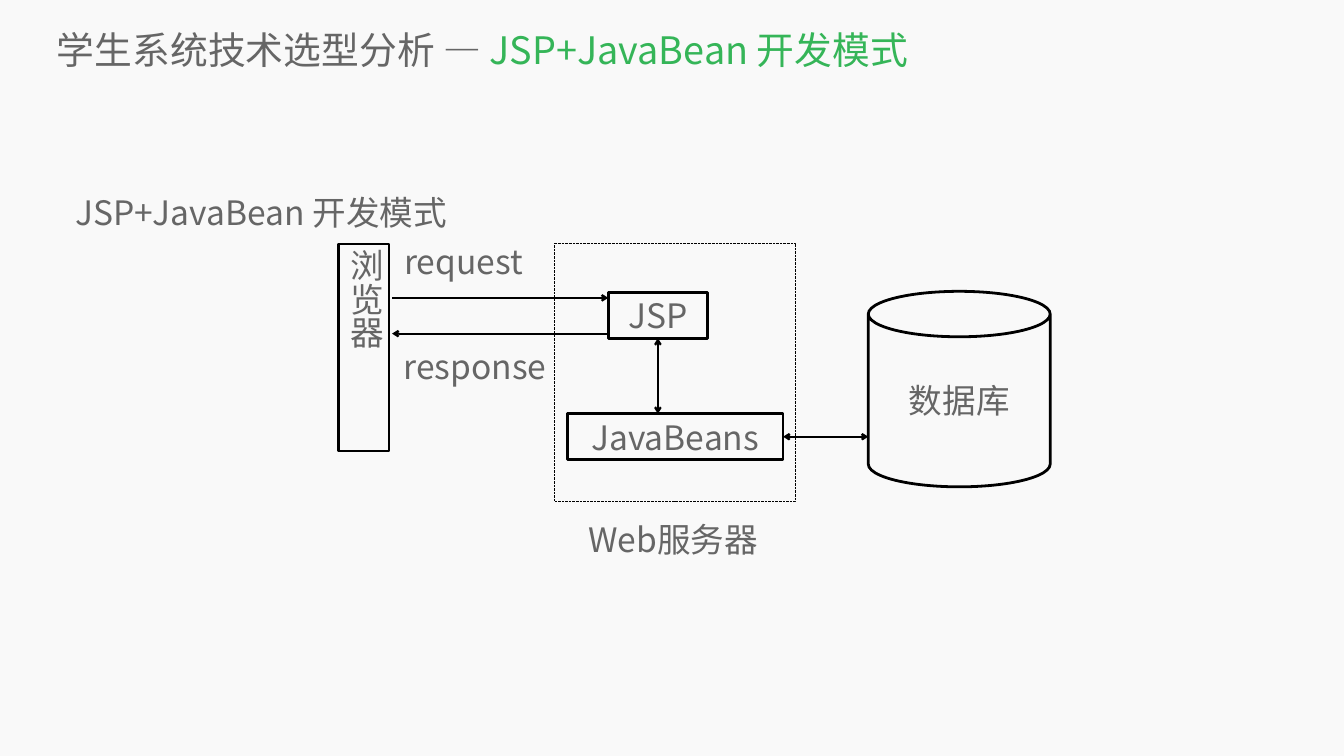
from dataclasses import dataclass

from pptx import Presentation
from pptx import util as u
from pptx.dml.color import RGBColor
from pptx.enum import dml, shapes, text
from pptx.oxml.ns import qn
from lxml import etree

COLUMNS, ROWS = 26.67, 15


@dataclass(frozen=True)
class Theme:
    font: str = "Noto Sans CJK SC"
    paper: str = "F9F9F9"
    ink: str = "666666"
    accent: str = "35B558"
    outline: str = "000000"
    title_size: int = 54
    body_size: int = 48
    box_line: int = 4
    arrow_line: int = 3
    dotted_line: int = 1


@dataclass(frozen=True)
class Area:
    left: float
    top: float
    width: float
    height: float

    @property
    def right(self):
        return self.left + self.width

    @property
    def bottom(self):
        return self.top + self.height

    @property
    def middle(self):
        return self.left + self.width / 2, self.top + self.height / 2


class Diagram:
    def __init__(self, deck, theme):
        self.theme = theme
        self.column = deck.slide_width / COLUMNS
        self.row = deck.slide_height / ROWS
        self.slide = deck.slides.add_slide(deck.slide_layouts[6])
        fill = self.slide.background.fill
        fill.solid()
        fill.fore_color.rgb = RGBColor.from_string(theme.paper)

    def point(self, x, y):
        return u.Emu(round(x * self.column)), u.Emu(round(y * self.row))

    def frame(self, area):
        return *self.point(area.left, area.top), *self.point(area.width, area.height)

    def add_words(self, holder, runs, size=None, align=text.PP_ALIGN.CENTER,
                  anchor=text.MSO_ANCHOR.MIDDLE):
        body = holder.text_frame
        body.word_wrap = True
        body.vertical_anchor = anchor
        paragraph = body.paragraphs[0]
        paragraph.alignment = align
        for words, color in runs:
            run = paragraph.add_run()
            run.text = words
            run.font.size = u.Pt(size or self.theme.body_size)
            run.font.name = self.theme.font
            run.font.color.rgb = RGBColor.from_string(color)
            east_asian = etree.SubElement(run.font._element, qn("a:ea"))
            east_asian.set("typeface", self.theme.font)
        return paragraph

    def label(self, area, words):
        holder = self.slide.shapes.add_textbox(*self.frame(area))
        self.add_words(holder, [(words, self.theme.ink)])

    def heading(self, area, runs, size, anchor, spacing=1.0, indent=0):
        holder = self.slide.shapes.add_textbox(*self.frame(area))
        body = holder.text_frame
        body.margin_left = body.margin_right = body.margin_top = body.margin_bottom = 0
        paragraph = self.add_words(holder, runs, size, text.PP_ALIGN.LEFT, anchor)
        paragraph.line_spacing = spacing
        paragraph._p.get_or_add_pPr().set("marL", str(round(indent * self.column)))

    def box(self, area, words="", kind=shapes.MSO_SHAPE.RECTANGLE, vertical=False,
            dotted=False):
        outline = self.slide.shapes.add_shape(kind, *self.frame(area))
        outline.shadow.inherit = False
        outline.fill.background()
        self.stroke(outline.line,
                    self.theme.dotted_line if dotted else self.theme.box_line)
        if dotted:
            outline.line.dash_style = dml.MSO_LINE.ROUND_DOT
        runs = [(words, self.theme.ink)] if words else []
        if vertical:
            self.add_words(outline, runs, align=text.PP_ALIGN.LEFT,
                           anchor=text.MSO_ANCHOR.TOP)
            outline.text_frame._txBody.bodyPr.set("vert", "eaVert")
        else:
            self.add_words(outline, runs)

    def stroke(self, line, width):
        line.color.rgb = RGBColor.from_string(self.theme.outline)
        line.width = u.Pt(width)

    def arrow(self, start, end, both=False):
        link = self.slide.shapes.add_connector(
            shapes.MSO_CONNECTOR.STRAIGHT, *self.point(*start), *self.point(*end))
        self.stroke(link.line, self.theme.arrow_line)
        for tip in ("a:headEnd", "a:tailEnd") if both else ("a:tailEnd",):
            etree.SubElement(link.line._ln, qn(tip)).set("type", "arrow")
        etree.SubElement(link._element.spPr, qn("a:effectLst"))


def main():
    theme = Theme()
    deck = Presentation()
    deck.slide_width, deck.slide_height = u.Inches(COLUMNS), u.Inches(ROWS)
    diagram = Diagram(deck, theme)

    line_height = 0.91
    browser = Area(6.71, 4.84, 1.01, 4.11)
    server = Area(11, 4.82, 4.79, 5.12)
    jsp = Area(12.07, 5.8, 1.97, line_height)
    beans = Area(11.26, 8.21, 4.28, line_height)
    database = Area(17.23, 5.78, 3.61, 3.88)

    diagram.heading(Area(1.13, 0.47, 25.16, 1.02),
                    [("学生系统技术选型分析 — ", theme.ink),
                     ("JSP+JavaBean 开发模式", theme.accent)],
                    theme.title_size, text.MSO_ANCHOR.MIDDLE)
    diagram.heading(Area(1.19, 3.49, 24.28, 11.24),
                    [("JSP+JavaBean 开发模式", theme.ink)],
                    theme.body_size, text.MSO_ANCHOR.TOP, spacing=1.4, indent=0.3)

    diagram.box(browser, "浏览器", vertical=True)
    diagram.box(beans, "JavaBeans")
    diagram.box(server, dotted=True)
    diagram.box(database, "数据库", kind=shapes.MSO_SHAPE.CAN)
    diagram.box(jsp, "JSP")

    diagram.label(Area(11.29, 10.25, 4.14, line_height), "Web服务器")
    diagram.label(Area(browser.right, 4.73, 2.95, line_height), "request")
    diagram.label(Area(browser.right, 6.81, 3.41, line_height), "response")

    gap = 0.06
    request_row, response_row = jsp.top + 0.11, jsp.bottom - 0.09
    jsp_center, beans_center = jsp.middle[0], beans.middle[1]
    diagram.arrow((browser.right + gap, request_row), (jsp.left, request_row))
    diagram.arrow((jsp.left, response_row), (browser.right + gap, response_row))
    diagram.arrow((beans.right, beans_center), (database.left, beans_center), both=True)
    diagram.arrow((jsp_center, jsp.bottom), (jsp_center, beans.top), both=True)

    deck.save("out.pptx")


if __name__ == "__main__":
    main()
